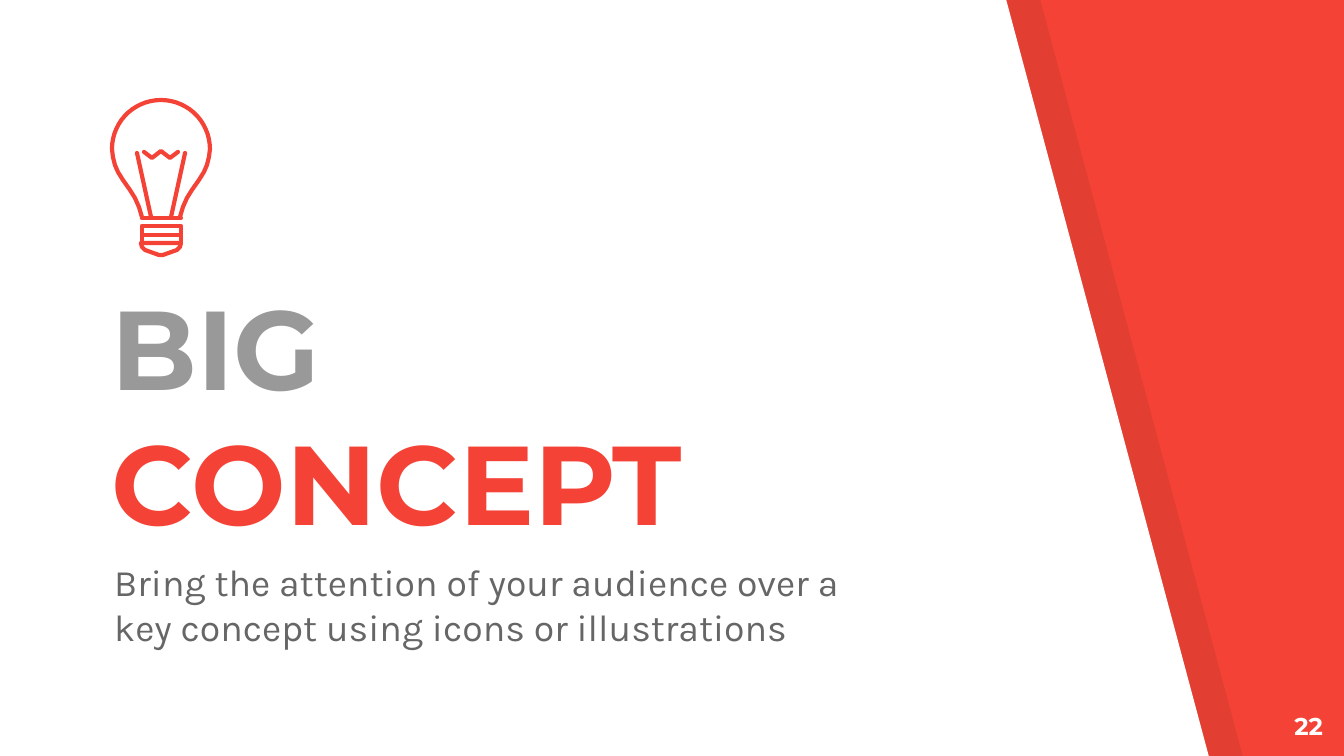
import math

from lxml import etree
from pptx import Presentation
from pptx.dml.color import RGBColor
from pptx.enum.shapes import MSO_CONNECTOR
from pptx.enum.text import MSO_ANCHOR, MSO_AUTO_SIZE, PP_ALIGN
from pptx.oxml.ns import qn
from pptx.util import Emu, Pt

LEFT, RIGHT = PP_ALIGN.LEFT, PP_ALIGN.RIGHT
TOP, BOTTOM = MSO_ANCHOR.TOP, MSO_ANCHOR.BOTTOM
NO_AUTOFIT = MSO_AUTO_SIZE.NONE
STRAIGHT = MSO_CONNECTOR.STRAIGHT

RED = RGBColor(0xF4, 0x43, 0x36)
WHITE = RGBColor(0xFF, 0xFF, 0xFF)
BLACK = RGBColor(0x00, 0x00, 0x00)
GRAY = RGBColor(0x99, 0x99, 0x99)
DARK_GRAY = RGBColor(0x66, 0x66, 0x66)

HEADING_FONT, BODY_FONT = "Montserrat", "Karla"
WIDTH, HEIGHT = 1344, 756
EMU_PER_PX = 914400 / 134.4
INSET = Emu(91440)
TITLE_ONLY = 5


def px(length):
    return Emu(round(length * EMU_PER_PX))


class SlideBuilder:
    def __init__(self, presentation, background):
        self.slide = presentation.slides.add_slide(presentation.slide_layouts[TITLE_ONLY])
        fill = self.slide.background.fill
        fill.solid()
        fill.fore_color.rgb = background

    def outline(self, shapes, points, closed):
        (start_x, start_y), *others = [(px(x), px(y)) for x, y in points]
        builder = shapes.build_freeform(start_x, start_y)
        builder.add_line_segments(others, close=closed)
        shape = builder.convert_to_shape()
        shape.shadow.inherit = False
        return shape

    def panel(self, points, color, opacity=100):
        shape = self.outline(self.slide.shapes, points, True)
        shape.fill.solid()
        shape.fill.fore_color.rgb = color
        shape.line.fill.background()
        if opacity < 100:
            color_element = shape._element.spPr.find(".//" + qn("a:srgbClr"))
            etree.SubElement(color_element, qn("a:alpha")).set("val", str(opacity * 1000))

    def group(self):
        return self.slide.shapes.add_group_shape().shapes

    def stroke(self, shapes, points, closed=False):
        shape = self.outline(shapes, points, closed)
        shape.fill.background()
        self.style_line(shape)

    def line(self, shapes, start, end):
        connector = shapes.add_connector(STRAIGHT, *map(px, start + end))
        self.style_line(connector)
        etree.SubElement(connector._element.spPr, qn("a:effectLst"))

    def style_line(self, shape):
        shape.line.color.rgb = RED
        shape.line.width = Pt(2.25)
        shape._element.spPr.find(qn("a:ln")).set("cap", "rnd")

    def place(self, shape, box, anchor, align):
        shape.left, shape.top, shape.width, shape.height = map(px, box)
        frame = shape.text_frame
        frame.word_wrap = True
        frame.auto_size = NO_AUTOFIT
        frame.vertical_anchor = anchor
        frame.margin_left = frame.margin_right = INSET
        frame.margin_top = frame.margin_bottom = INSET
        frame.paragraphs[0].alignment = align
        return frame.paragraphs[0]

    def set_font(self, font, name, size, bold):
        font.name, font.size, font.bold = name, Pt(size), bold

    def title(self, box, parts):
        title = self.slide.shapes.title
        # Bring the placeholder in front of the panels
        title._element.getparent().append(title._element)
        paragraph = self.place(title, box, BOTTOM, LEFT)
        self.set_font(paragraph.font, HEADING_FONT, 60, True)
        for text, color in parts:
            run = paragraph.add_run()
            run.text = text
            run.font.color.rgb = color

    def text(self, box, text, name, size, color, bold=False, align=LEFT):
        shape = self.slide.shapes.add_textbox(*map(px, box))
        paragraph = self.place(shape, box, TOP, align)
        paragraph.text = text
        self.set_font(paragraph.font, name, size, bold)
        paragraph.font.color.rgb = color


def draw_bulb(builder):
    bulb = builder.group()
    center_x, center_y, radius = 161, 149, 49

    def mirror(points):
        return [(2 * center_x - x, y) for x, y in reversed(points)]

    # Glass: a half circle with a neck on each side
    neck = [(209, 157), (207, 165), (204, 172), (199, 180), (192, 190),
            (187, 198), (183, 207), (180, 217)]
    arc = [(center_x + radius * math.cos(math.radians(angle)),
            center_y - radius * math.sin(math.radians(angle)))
           for angle in range(180, -1, -6)]
    builder.stroke(bulb, mirror(neck) + arc + neck)

    # Filament and its two supports
    support = [(137, 153), (151, 217)]
    builder.stroke(bulb, support)
    builder.stroke(bulb, mirror(support))
    builder.stroke(bulb, [(144, 152), (152, 158), (161, 151), (170, 158), (178, 152)])

    # Screw base
    left, right = 142, 181
    builder.line(bulb, (left, 218), (right, 218))
    for top, bottom in ((226, 235), (235, 243)):
        builder.stroke(bulb, [(left, top), (right, top), (right, bottom), (left, bottom)], True)
    cap = [(right, 243), (180, 247), (177, 250), (163, 255)]
    builder.stroke(bulb, cap + mirror(cap), True)


def main():
    presentation = Presentation()
    presentation.slide_width, presentation.slide_height = px(WIDTH), px(HEIGHT)
    builder = SlideBuilder(presentation, RED)

    # Slanted white panel over its shade
    for offset, color, opacity in ((34, BLACK, 7), (0, WHITE, 100)):
        builder.panel([(offset, -1), (offset, 757), (1209 + offset, 757),
                       (1006 + offset, -1)], color, opacity)

    # Heading and explanation
    builder.title((98, 390, 771, 171), (("BIG ", GRAY), ("CONCEPT", RED)))
    builder.text((101, 546, 771, 116),
                 "Bring the attention of your audience over a key concept "
                 "using icons or illustrations", BODY_FONT, 20, DARK_GRAY)

    # Bulb icon
    draw_bulb(builder)

    # Page number
    builder.text((1255, 698, 81, 58), "22", HEADING_FONT, 13, WHITE, True, RIGHT)
    presentation.save("out.pptx")


if __name__ == "__main__":
    main()
